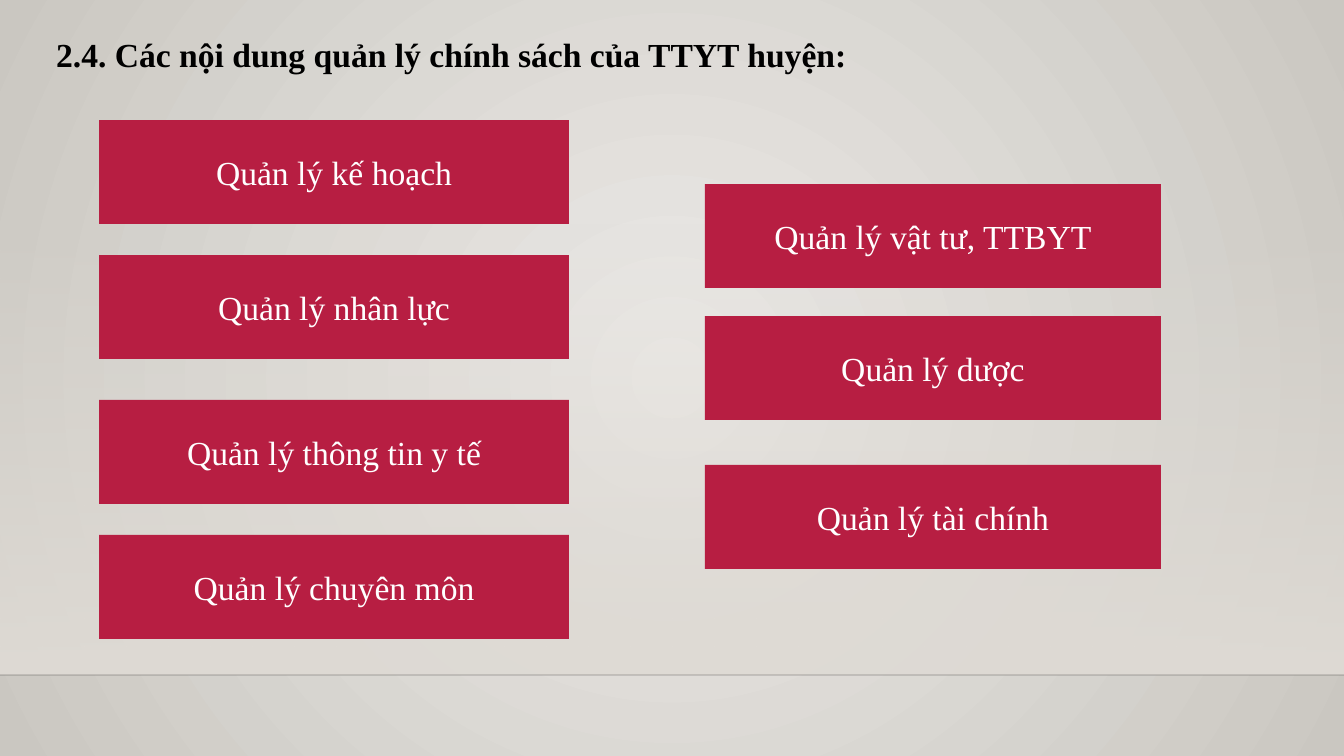
from lxml.etree import SubElement
from pptx import Presentation
from pptx.dml.color import RGBColor
from pptx.enum.shapes import MSO_CONNECTOR, MSO_SHAPE
from pptx.enum.text import MSO_ANCHOR, MSO_AUTO_SIZE, PP_ALIGN
from pptx.oxml import parse_xml
from pptx.oxml.ns import nsdecls, qn
from pptx.util import Emu, Pt

PX = 914400 / 100.8
WIDTH, HEIGHT = 1344, 756
FONT = "Times New Roman"
FONT_SIZE = Pt(24)

BLACK = RGBColor(0, 0, 0)
WHITE = RGBColor(255, 255, 255)
CRIMSON = RGBColor(0xB7, 0x1E, 0x42)
CENTRE_GREY = RGBColor(0xEC, 0xEA, 0xE7)
EDGE_GREY = RGBColor(0xCA, 0xC7, 0xC1)
FLOOR_GREY = RGBColor(0xDF, 0xDB, 0xD5)

FLOOR_TOP, FLOOR_LINE = 223, 675
BOX_HEIGHT = 104
# left, width, then the top and wording of each box
COLUMNS = [
    (99, 470, [
        (120, "Quản lý kế hoạch"),
        (255, "Quản lý nhân lực"),
        (400, "Quản lý thông tin y tế"),
        (535, "Quản lý chuyên môn"),
    ]),
    (705, 456, [
        (184, "Quản lý vật tư, TTBYT"),
        (316, "Quản lý dược"),
        (465, "Quản lý tài chính"),
    ]),
]


def px(*lengths):
    """Turn pixel lengths into EMU."""
    return [Emu(round(length * PX)) for length in lengths]


def set_gradient(fill, start, end):
    fill.gradient()
    for stop, color, position in zip(fill.gradient_stops, (start, end), (0, 1)):
        stop.color.rgb = color
        stop.position = position


prs = Presentation()
prs.slide_width, prs.slide_height = px(WIDTH, HEIGHT)
slide = prs.slides.add_slide(prs.slide_layouts[5])

# Background: circular gradient from the centre
set_gradient(slide.background.fill, CENTRE_GREY, EDGE_GREY)
linear = next(slide.element.iter(qn("a:lin")))
linear.getparent().replace(linear, parse_xml(
    f'<a:path {nsdecls("a")} path="circle">'
    '<a:fillToRect l="50000" t="50000" r="50000" b="50000"/></a:path>'))

# Floor: a band that fades in downwards, closed by a thin line
floor = slide.shapes.add_shape(
    MSO_SHAPE.RECTANGLE, *px(0, FLOOR_TOP, WIDTH, FLOOR_LINE - FLOOR_TOP))
floor.shadow.inherit = False
floor.line.fill.background()
set_gradient(floor.fill, FLOOR_GREY, FLOOR_GREY)
floor.fill.gradient_angle = 270
floor_color = next(floor.element.iter(qn("a:srgbClr")))
SubElement(floor_color, qn("a:alpha"), val="0")

floor_line = slide.shapes.add_connector(
    MSO_CONNECTOR.STRAIGHT, *px(0, FLOOR_LINE, WIDTH, FLOOR_LINE))
floor_line.line.color.rgb = BLACK
floor_line.line.width = Pt(1)
line_color = next(floor_line.element.iter(qn("a:srgbClr")))
SubElement(line_color, qn("a:alpha"), val="20000")
SubElement(floor_line.element.spPr, qn("a:effectLst"))

# Title
title = slide.shapes.title
title.left, title.top, title.width, title.height = px(46, 29, 983, 50)
title.text_frame.text = "2.4. Các nội dung quản lý chính sách của TTYT huyện:"
title.text_frame.word_wrap = True
title.text_frame.auto_size = MSO_AUTO_SIZE.SHAPE_TO_FIT_TEXT
title.text_frame.vertical_anchor = MSO_ANCHOR.TOP
heading = title.text_frame.paragraphs[0]
heading.alignment = PP_ALIGN.LEFT
heading.font.name = FONT
heading.font.size = FONT_SIZE
heading.font.bold = True
heading.font.color.rgb = BLACK

# Management areas
for left, width, areas in COLUMNS:
    for top, wording in areas:
        box = slide.shapes.add_shape(
            MSO_SHAPE.RECTANGLE, *px(left, top, width, BOX_HEIGHT))
        box.shadow.inherit = False
        box.fill.solid()
        box.fill.fore_color.rgb = CRIMSON
        box.line.fill.background()
        box.text_frame.text = wording
        box.text_frame.word_wrap = True
        box.text_frame.vertical_anchor = MSO_ANCHOR.MIDDLE
        label = box.text_frame.paragraphs[0]
        label.alignment = PP_ALIGN.CENTER
        label.font.name = FONT
        label.font.size = FONT_SIZE
        label.font.color.rgb = WHITE

prs.save("out.pptx")
